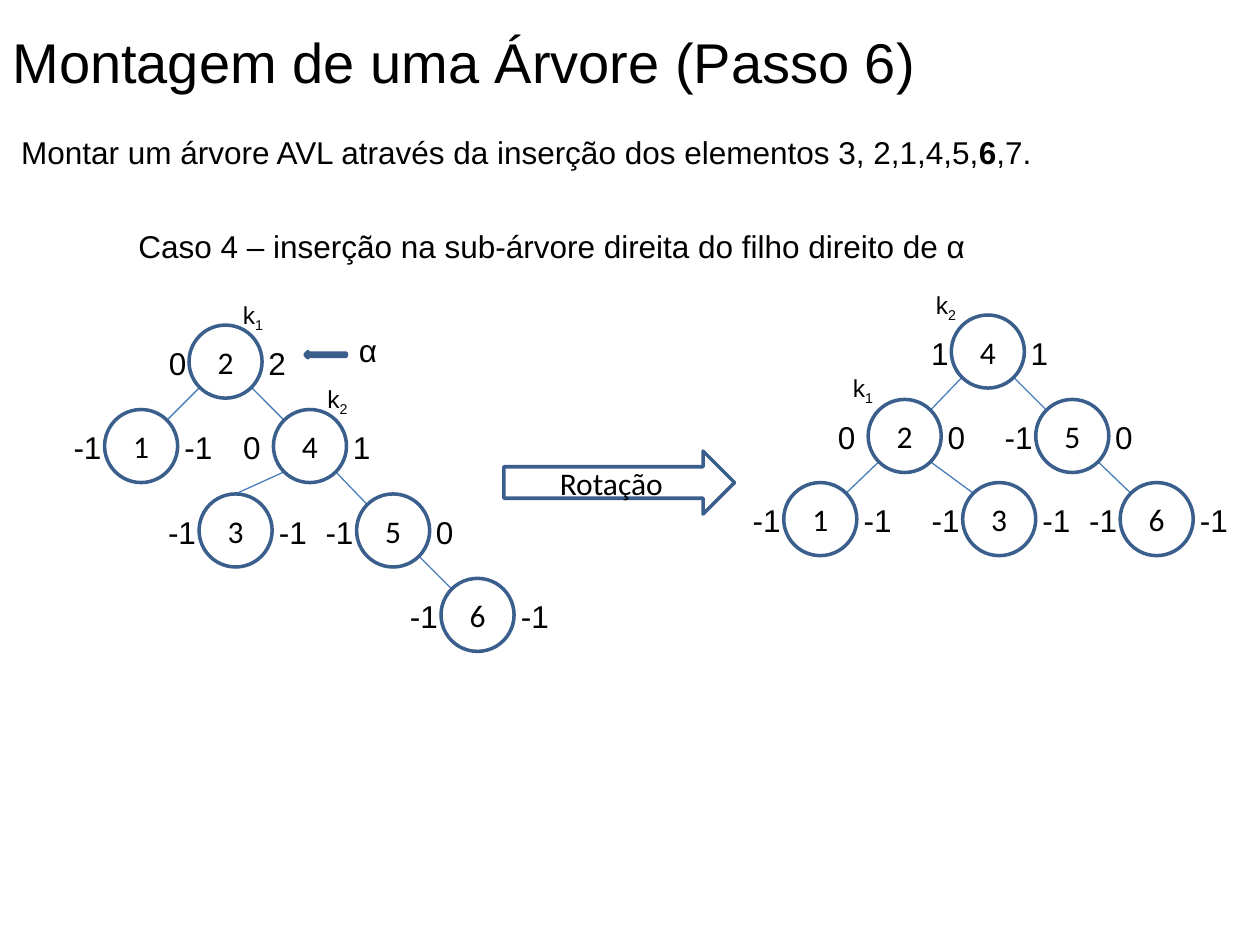
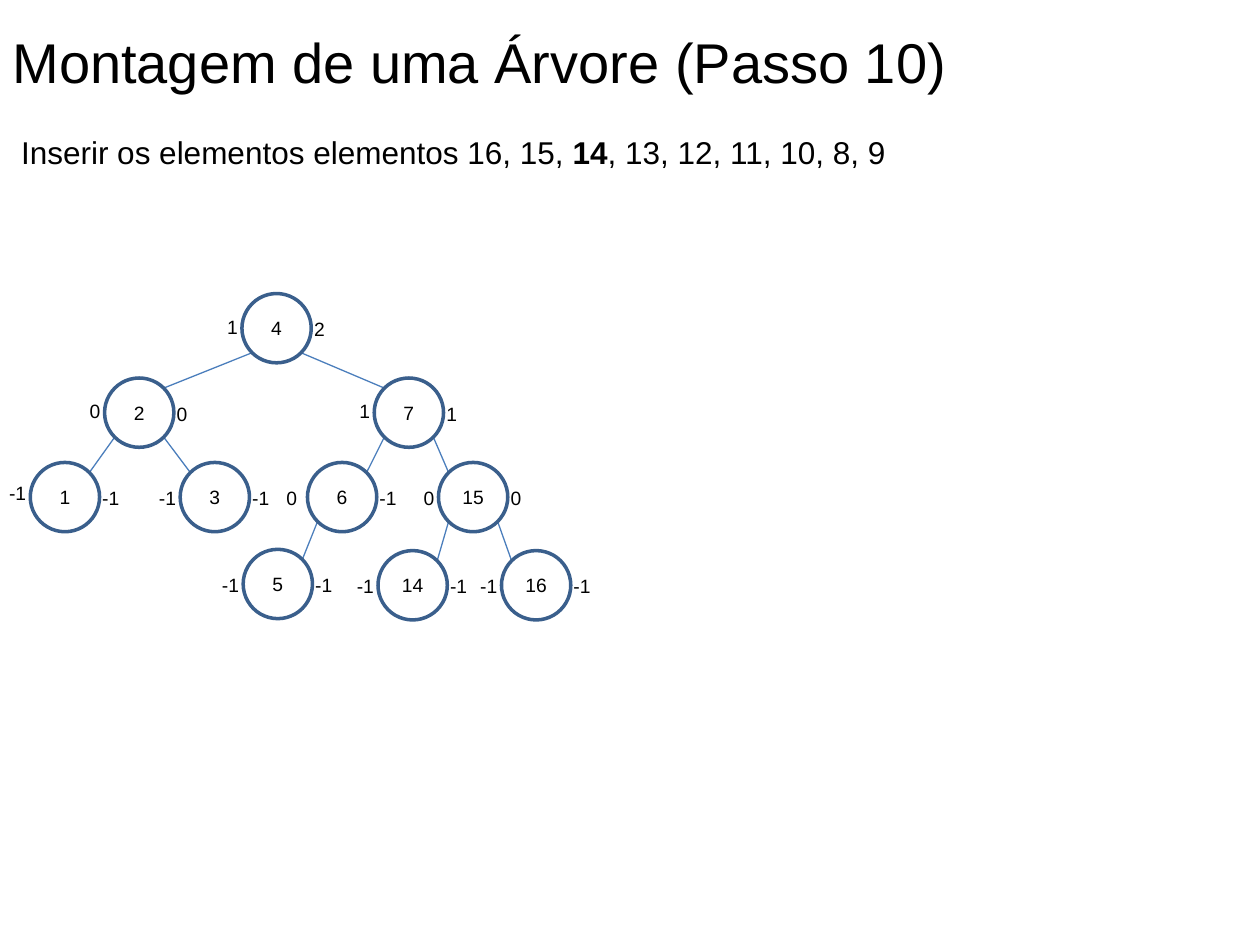
"""Build two slides that show steps of AVL tree insertion."""
from dataclasses import dataclass
from typing import Any, NamedTuple

from lxml.etree import SubElement
from pptx import Presentation
from pptx.dml.color import RGBColor
from pptx.enum.shapes import MSO_CONNECTOR, MSO_SHAPE
from pptx.enum.text import MSO_ANCHOR as Anchor, MSO_AUTO_SIZE as AutoSize, PP_ALIGN as Align
from pptx.oxml.ns import qn
from pptx.util import Inches, Pt

COLORS = {"text": "000000", "outline": "3A5F8C", "edge": "4B7EBC", "pointer": "4F81BD"}
GROWING_FRAME = {"auto_size": AutoSize.SHAPE_TO_FIT_TEXT, "vertical_anchor": Anchor.TOP}
SHAPE_FRAME = {"word_wrap": False, "vertical_anchor": Anchor.MIDDLE}
CORNER = 0.146


class Run(NamedTuple):
    text: str
    bold: bool = False
    subscript: bool = False


class Box(NamedTuple):
    left: float
    top: float
    width: float
    height: float

    def lengths(self) -> list[int]:
        return [Inches(value) for value in self]


@dataclass(frozen=True)
class Node:
    key: int
    left: float
    top: float
    heights: tuple[int, int]
    parent: int | None = None
    label_dx: float = 0
    label_dy: float = 0
    joins_top: bool = False


@dataclass(frozen=True)
class TreeStyle:
    diameter: float
    size: int
    key_font: str
    label_widths: dict[int, float]
    label_height: float
    label_drop: float
    left_overlap: float
    right_offset: float


LARGE = TreeStyle(0.58, 18, "Calibri", {1: 0.34, 2: 0.43}, 0.4, 0.1, 0.08, 0.53)
SMALL = TreeStyle(0.55, 11, "Arial", {1: 0.29, 2: 0.34}, 0.29, 0.14, 0.07, 0.47)

UNBALANCED = [
    Node(2, 1.5, 2.58, (0, 2)),
    Node(1, 0.83, 3.25, (-1, -1), 2),
    Node(4, 2.17, 3.25, (0, 1), 2, label_dx=-0.08),
    Node(3, 1.58, 3.92, (-1, -1), 4, joins_top=True),
    Node(5, 2.83, 3.92, (-1, 0), 4),
    Node(6, 3.5, 4.59, (-1, -1), 5),
]
ROTATED = [
    Node(4, 7.55, 2.5, (1, 1)),
    Node(2, 6.89, 3.17, (0, 0), 4, label_dx=-0.08),
    Node(5, 8.22, 3.17, (-1, 0), 4),
    Node(1, 6.22, 3.83, (-1, -1), 2),
    Node(3, 7.64, 3.83, (-1, -1), 2),
    Node(6, 8.89, 3.83, (-1, -1), 5),
]
AFTER_14 = [
    Node(4, 1.92, 2.33, (1, 2), label_dy=-0.02),
    Node(2, 0.83, 3, (0, 0), 4, label_dy=-0.02),
    Node(7, 2.97, 3, (1, 1), 4, label_dy=-0.02),
    Node(1, 0.24, 3.67, (-1, -1), 2, label_dy=-0.04),
    Node(3, 1.43, 3.67, (-1, -1), 2),
    Node(6, 2.44, 3.67, (0, -1), 7, label_dx=-0.05),
    Node(15, 3.48, 3.67, (0, 0), 7),
    Node(5, 1.93, 4.36, (-1, -1), 6),
    Node(14, 3, 4.37, (-1, -1), 15),
    Node(16, 3.98, 4.37, (-1, -1), 15),
]


def apply_format(target: Any, values: dict[str, Any]) -> None:
    for name, value in values.items():
        setattr(target, name, value)


def color(name: str) -> RGBColor:
    return RGBColor.from_string(COLORS[name])


def write(paragraph: Any, runs: list[Run], size: int, font: str = "Arial") -> None:
    for item in runs:
        run = paragraph.add_run()
        run.text = item.text
        apply_format(run.font, {"size": Pt(size), "name": font, "bold": item.bold})
        run.font.color.rgb = color("text")
        if item.subscript:
            run._r.get_or_add_rPr().set("baseline", "-25000")


def add_text(slide: Any, box: Box, runs: list[Run], size: int,
             wrap: bool = False, align: Align = Align.LEFT) -> None:
    frame = slide.shapes.add_textbox(*box.lengths()).text_frame
    apply_format(frame, GROWING_FRAME | {"word_wrap": wrap})
    paragraph = frame.paragraphs[0]
    paragraph.alignment = align
    write(paragraph, runs, size)


def add_outlined(slide: Any, kind: MSO_SHAPE, box: Box, text: str = "",
                 size: int = 18, font: str = "Calibri", fill: str = "") -> None:
    shape = slide.shapes.add_shape(kind, *box.lengths())
    shape.shadow.inherit = False
    if fill:
        shape.fill.solid()
        shape.fill.fore_color.rgb = color(fill)
    else:
        shape.fill.background()
    shape.line.color.rgb = color("outline")
    shape.line.width = Pt(2)
    if text:
        apply_format(shape.text_frame, SHAPE_FRAME)
        paragraph = shape.text_frame.paragraphs[0]
        paragraph.alignment = Align.CENTER
        write(paragraph, [Run(text)], size, font)


def add_edge(slide: Any, parent: Node, child: Node, diameter: float) -> None:
    near, far = CORNER * diameter, (1 - CORNER) * diameter
    goes_left = child.left < parent.left
    start_x = parent.left + (near if goes_left else far)
    end_x = child.left + (far if goes_left else near)
    end_y = child.top + near
    if child.joins_top:
        end_x, end_y = child.left + diameter / 2, child.top
    ends = (start_x, parent.top + far, end_x, end_y)
    edge = slide.shapes.add_connector(MSO_CONNECTOR.STRAIGHT, *map(Inches, ends))
    edge.line.color.rgb = color("edge")
    edge.line.width = Pt(0.75)
    SubElement(edge._element.spPr, qn("a:effectLst"))


def add_heights(slide: Any, node: Node, style: TreeStyle) -> None:
    before, after = map(str, node.heights)
    before_left = node.left + style.left_overlap - style.label_widths[len(before)] + node.label_dx
    top = node.top + style.label_drop
    for text, left, label_top in (
        (before, before_left, top + node.label_dy),
        (after, node.left + style.right_offset, top),
    ):
        box = Box(left, label_top, style.label_widths[len(text)], style.label_height)
        add_text(slide, box, [Run(text)], style.size, align=Align.CENTER)


def add_tree(slide: Any, nodes: list[Node], style: TreeStyle) -> None:
    by_key = {node.key: node for node in nodes}
    for node in nodes:
        if node.parent is not None:
            add_edge(slide, by_key[node.parent], node, style.diameter)
    for node in nodes:
        box = Box(node.left, node.top, style.diameter, style.diameter)
        add_outlined(slide, MSO_SHAPE.OVAL, box, str(node.key), style.size, style.key_font)
        add_heights(slide, node, style)


def add_step(deck: Any, step: int, title_width: float, task: list[Run]) -> Any:
    slide = deck.slides.add_slide(deck.slide_layouts[6])
    title = [Run(f"Montagem de uma Árvore (Passo {step})")]
    add_text(slide, Box(0, 0.17, title_width, 0.64), title, 32)
    add_text(slide, Box(0, 1.01, 9.83, 0.4), task, 18, wrap=True)
    return slide


def add_rotation(deck: Any) -> None:
    slide = add_step(deck, 6, 7.55, [
        Run(" Montar um árvore AVL através da inserção dos elementos 3, 2,1,4,5,"),
        Run("6", bold=True),
        Run(",7."),
    ])
    case = [Run("Caso 4 – inserção na sub-árvore direita do filho direito de α")]
    add_text(slide, Box(1, 1.75, 6.83, 0.4), case, 18)
    for nodes in (UNBALANCED, ROTATED):
        add_tree(slide, nodes, LARGE)
    add_text(slide, Box(2.75, 2.58, 0.35, 0.4), [Run("α")], 18)
    add_outlined(slide, MSO_SHAPE.LEFT_ARROW, Box(2.42, 2.79, 0.33, 0.05), fill="pointer")
    add_outlined(slide, MSO_SHAPE.RIGHT_ARROW, Box(4, 3.58, 1.83, 0.5), "Rotação")
    for index, left, top in (("1", 1.83, 2.33), ("2", 2.5, 3), ("1", 6.67, 2.91), ("2", 7.33, 2.25)):
        add_text(slide, Box(left, top, 0.37, 0.34), [Run("k"), Run(index, subscript=True)], 14)


def add_insertion(deck: Any) -> None:
    slide = add_step(deck, 10, 7.8, [
        Run(" Inserir os elementos elementos 16, 15, "),
        Run("14", bold=True),
        Run(", 13, 12, 11, 10, 8, 9"),
    ])
    add_tree(slide, AFTER_14, SMALL)


def main() -> None:
    deck = Presentation()
    apply_format(deck, {"slide_width": Inches(10), "slide_height": Inches(7.5)})
    add_rotation(deck)
    add_insertion(deck)
    deck.save("out.pptx")


if __name__ == "__main__":
    main()
